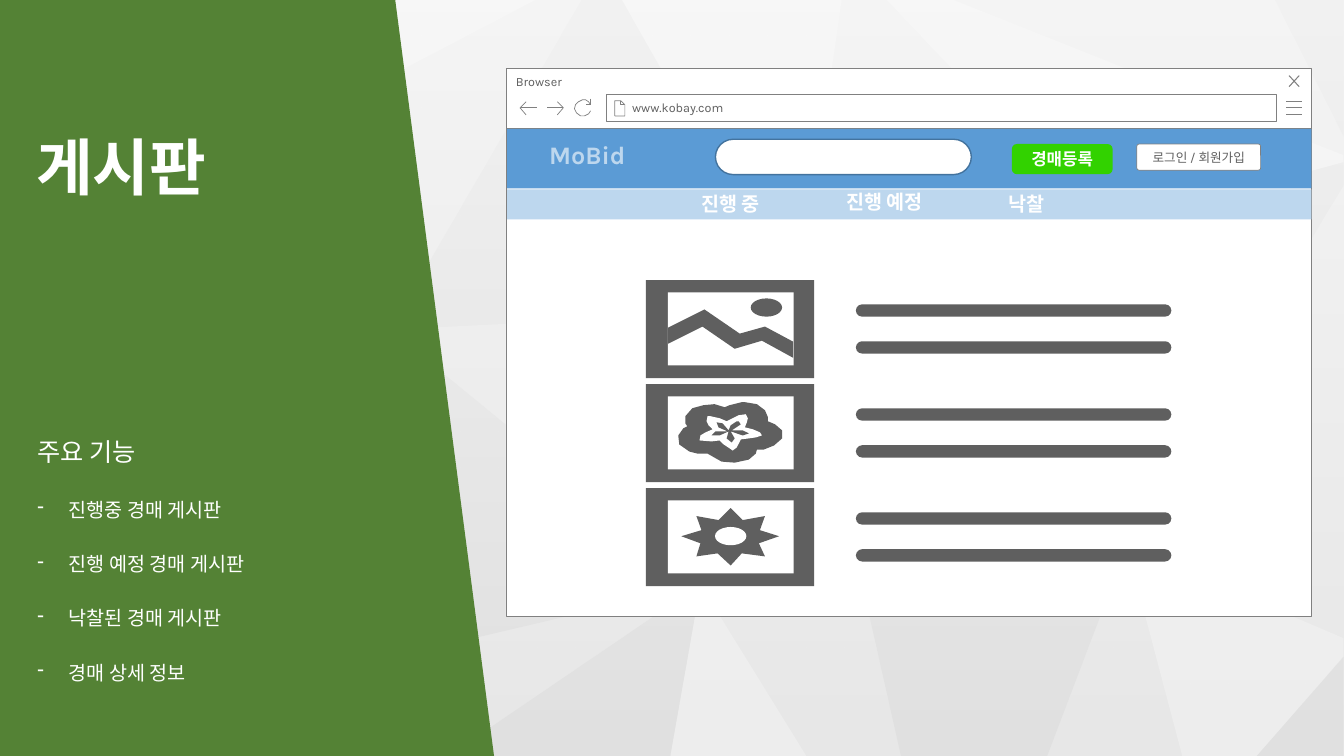
from lxml.etree import SubElement
from pptx import Presentation
from pptx.dml.color import RGBColor
from pptx.enum.shapes import MSO_SHAPE as Preset
from pptx.enum.text import MSO_ANCHOR as Anchor, PP_ALIGN as Align
from pptx.oxml.ns import qn
from pptx.util import Cm, Pt

FONT = "Karla"
WHITE, GRAY, DARK = "FFFFFF", "808080", "5F5F5F"
LIGHT_FACET, DARK_FACET = "EDEDED", "E0E0E0"
BLUE, PALE_BLUE = "5B9BD5", "BDD7EE"
GRID = Cm(0.0254)  # one unit of the outline coordinates below

LIGHT_FACETS = [
    [(695, 580), (665, 750), (800, 750)],
    [(1118, 542), (1173, 750), (1247, 750), (1333, 651), (1333, 633)],
    [(0, 216), (0, 573), (93, 522)],
    [(880, 0), (1094, 226), (1333, 161), (1333, 154), (946, 0)],
    [(93, 522), (387, 327), (176, 186)],
    [(122, 0), (176, 186), (531, 0)],
    [(617, 0), (791, 307), (835, 0)],
]
DARK_FACETS = [
    [(93, 522), (0, 573), (0, 675), (263, 682)],
    [(263, 682), (241, 750), (410, 750)],
    [(1333, 652), (1247, 750), (1333, 750)],
    [(0, 710), (0, 750), (180, 750)],
    [(1118, 542), (855, 577), (894, 750), (1039, 750)],
    [(695, 580), (445, 750), (665, 750)],
    [(1333, 161), (791, 307), (1118, 542), (1333, 184)],
    [(695, 580), (387, 327), (263, 682)],
    [(1265, 0), (1333, 135), (1333, 0)],
    [(0, 69), (0, 216), (93, 522), (176, 186)],
    [(577, 0), (387, 327), (791, 307), (617, 0)],
]
MENU_ICON = [[(1276, y), (1292, y)] for y in (101, 107, 114)]
CLOSE_ICON = [[(1289, 75), (1279, 86)], [(1279, 75), (1289, 86)]]
PAGE_ICON = [
    [(616, 100), (616, 104), (619, 104)],
    [(610, 100), (610, 115), (620, 115), (620, 104), (616, 100), (610, 100)],
]
BACK_ICON = [[(522, 114), (516, 107), (522, 101)], [(517, 107), (533, 107)]]
FORWARD_ICON = [[(553, 101), (559, 107), (553, 114)], [(559, 107), (543, 107)]]
RELOAD_ICON = [
    [(586, 98), (586, 104), (581, 104)],
    [(586, 110), (584, 113), (580, 115), (576, 115), (572, 112), (570, 108),
     (571, 104), (574, 101), (578, 99), (581, 99), (584, 101), (586, 104)],
]
MOUNTAINS = [
    (663, 325), (699, 307), (734, 331), (759, 324), (787, 339),
    (787, 355), (756, 338), (729, 346), (697, 324), (663, 341),
]
BLOSSOM = [
    (739, 399), (736, 399), (724, 402), (719, 404), (709, 401), (698, 402),
    (687, 405), (680, 413), (680, 420), (682, 423), (678, 425), (673, 432),
    (674, 441), (684, 448), (692, 450), (702, 450), (709, 454), (716, 458),
    (729, 459), (743, 456), (750, 450), (751, 446), (758, 446), (768, 442),
    (776, 435), (776, 427), (769, 421), (762, 418), (762, 414), (759, 407),
    (751, 401),
]
BLOSSOM_STAR = [
    (740, 411), (742, 415), (741, 419), (739, 424), (747, 426), (754, 429),
    (756, 432), (750, 434), (743, 435), (735, 436), (733, 440), (731, 444),
    (727, 447), (718, 441), (714, 437), (706, 438), (694, 437), (695, 432),
    (700, 429), (707, 426), (703, 422), (701, 418), (702, 413), (705, 413),
    (714, 415), (721, 418), (727, 415), (733, 412),
]
BLOSSOM_CORE = [
    (731, 418), (725, 422), (723, 427), (717, 420), (711, 419), (713, 424),
    (722, 428), (710, 428), (706, 432), (714, 432), (723, 428), (721, 435),
    (726, 439), (729, 435), (725, 428), (737, 432), (743, 430), (737, 427),
    (726, 427), (735, 421), (733, 418),
]
SUNBURST = [
    (725, 504), (713, 516), (691, 512), (696, 526), (676, 532), (695, 539),
    (691, 552), (712, 549), (725, 561), (736, 549), (759, 552), (753, 539),
    (773, 532), (754, 526), (759, 512), (737, 516),
]


def color(hex_code):
    return RGBColor.from_string(hex_code)


def paint(shape, fill, line, width):
    shape.shadow.inherit = False
    if fill:
        shape.fill.solid()
        shape.fill.fore_color.rgb = color(fill)
    else:
        shape.fill.background()
    if line:
        shape.line.color.rgb = color(line)
        shape.line.width = Pt(width)
    else:
        shape.line.fill.background()


def add_preset(slide, preset, box, fill, line=None, width=0.5, corner=None):
    shape = slide.shapes.add_shape(preset, *map(Cm, box))
    paint(shape, fill, line, width)
    if corner is not None:
        shape.adjustments[0] = corner
    return shape


def add_outline(slide, contours, fill=None, line=None, width=0.5):
    """Draw contours as one shape; they are closed when the shape is filled."""
    builder = slide.shapes.build_freeform(*contours[0][0], scale=GRID)
    for index, (start, *points) in enumerate(contours):
        if index:
            builder.move_to(*start)
        builder.add_line_segments(points, close=bool(fill))
    paint(builder.convert_to_shape(), fill, line, width)


def add_run(paragraph, text, size, hex_code, bold=False):
    run = paragraph.add_run()
    run.text = text
    run.font.name = FONT
    run.font.size = Pt(size)
    run.font.bold = bold
    run.font.color.rgb = color(hex_code)


def write(shape, text, size, hex_code=WHITE, bold=False, align=Align.LEFT,
          anchor=Anchor.TOP, left_margin=0.25):
    frame = shape.text_frame
    frame.word_wrap = True
    frame.vertical_anchor = anchor
    frame.margin_left = Cm(left_margin)
    paragraph = frame.paragraphs[0]
    paragraph.alignment = align
    add_run(paragraph, text, size, hex_code, bold)
    return frame


def add_label(slide, box, text, size, **style):
    return write(slide.shapes.add_textbox(*map(Cm, box)), text, size, **style)


def add_dash_item(frame, text):
    paragraph = frame.add_paragraph()
    properties = paragraph._p.get_or_add_pPr()
    properties.set("marL", str(Cm(0.79)))
    properties.set("indent", str(Cm(-0.79)))
    SubElement(properties, qn("a:buChar")).set("char", "-")
    paragraph.space_before = Pt(10)
    paragraph.space_after = Pt(12)
    add_run(paragraph, text, 14, WHITE)


def add_background(slide):
    page = (0, 0, 33.87, 19.05)
    add_preset(slide, Preset.RECTANGLE, page, "E7E7E7")
    for facets, fill in ((LIGHT_FACETS, LIGHT_FACET), (DARK_FACETS, DARK_FACET)):
        for facet in facets:
            add_outline(slide, [facet], fill)
    veil = add_preset(slide, Preset.RECTANGLE, page, WHITE)
    veil.fill.gradient()
    veil.fill.gradient_angle = 270
    for position, stop in enumerate(veil.fill.gradient_stops):
        stop.position = position
        stop.color.rgb = color(WHITE)
    for tint, alpha in zip(veil._element.iter(qn("a:srgbClr")), ("60000", "0")):
        SubElement(tint, qn("a:alpha")).set("val", alpha)


def add_side_panel(slide):
    panel = add_preset(slide, Preset.FLOWCHART_MANUAL_INPUT,
                       (-3.3, 3.3, 19.05, 12.45), "548235")
    panel.rotation = 90
    title = add_label(slide, (0.66, 0.97, 10.21, 6.68), "게시판", 44,
                      bold=True, anchor=Anchor.MIDDLE)
    title.paragraphs[0].line_spacing = 0.9
    features = add_label(slide, (0.69, 10.72, 10.01, 6.99), "주요 기능", 18)
    features.paragraphs[0].line_spacing = 1.2
    features.paragraphs[0].space_after = Pt(12)
    for text in ("진행중 경매 게시판", "진행 예정 경매 게시판",
                 "낙찰된 경매 게시판", "경매 상세 정보"):
        add_dash_item(features, text)


def add_browser_window(slide):
    add_preset(slide, Preset.RECTANGLE, (12.75, 3.2, 20.29, 12.34), WHITE, GRAY)
    bar = add_preset(slide, Preset.RECTANGLE, (12.75, 1.73, 20.29, 1.5), WHITE, GRAY)
    write(bar, "Browser", 9, DARK)
    address = add_preset(slide, Preset.RECTANGLE, (15.27, 2.39, 16.89, 0.66), WHITE, GRAY)
    write(address, "www.kobay.com", 9, DARK, anchor=Anchor.MIDDLE, left_margin=0.66)
    for icon in (MENU_ICON, PAGE_ICON, BACK_ICON, FORWARD_ICON, RELOAD_ICON):
        add_outline(slide, icon, line=GRAY)
    add_outline(slide, CLOSE_ICON, line=GRAY, width=0.75)


def add_site_header(slide):
    add_preset(slide, Preset.RECTANGLE, (12.78, 3.25, 20.27, 1.5), BLUE)
    add_preset(slide, Preset.RECTANGLE, (12.78, 4.77, 20.27, 0.76), PALE_BLUE)
    add_label(slide, (13.59, 3.38, 2.8, 1.02), "MoBid", 18, hex_code=PALE_BLUE, bold=True)
    add_preset(slide, Preset.ROUNDED_RECTANGLE, (18.03, 3.51, 6.45, 0.89),
               WHITE, "43739E", 1, corner=0.5)
    login = add_preset(slide, Preset.ROUNDED_RECTANGLE, (28.65, 3.63, 3.12, 0.66),
                       WHITE, GRAY, corner=0.09)
    write(login, "로그인 / 회원가입", 9, DARK, align=Align.CENTER, anchor=Anchor.MIDDLE)
    register = add_preset(slide, Preset.ROUNDED_RECTANGLE, (25.5, 3.63, 2.54, 0.76), "32D200")
    write(register, "경매등록", 12, bold=True, align=Align.CENTER, anchor=Anchor.MIDDLE)
    for left, top, text in ((17.42, 4.7, "진행 중"), (21.08, 4.65, "진행 예정"),
                            (25.17, 4.7, "낙찰")):
        add_label(slide, (left, top, 3, 0.86), text, 14, bold=True)


def add_auction_list(slide):
    for row in range(3):
        top = 7.06 + row * 2.62
        add_preset(slide, Preset.RECTANGLE, (16.28, top, 4.24, 2.47), DARK)
        add_preset(slide, Preset.RECTANGLE, (16.83, top + 0.31, 3.17, 1.84), WHITE)
        for drop in (0.61, 1.54):
            add_preset(slide, Preset.ROUNDED_RECTANGLE,
                       (21.57, top + drop, 7.95, 0.31), DARK, corner=0.5)
    for outline, fill in ((MOUNTAINS, DARK), (BLOSSOM, DARK), (BLOSSOM_STAR, WHITE),
                          (BLOSSOM_CORE, DARK), (SUNBURST, DARK)):
        add_outline(slide, [outline], fill)
    add_preset(slide, Preset.OVAL, (18.92, 7.52, 0.79, 0.46), DARK)
    add_preset(slide, Preset.OVAL, (18.02, 13.28, 0.79, 0.46), WHITE)


def main():
    presentation = Presentation()
    presentation.slide_width = Cm(33.87)
    presentation.slide_height = Cm(19.05)
    slide = presentation.slides.add_slide(presentation.slide_layouts[6])
    add_background(slide)
    add_side_panel(slide)
    add_browser_window(slide)
    add_site_header(slide)
    add_auction_list(slide)
    presentation.save("out.pptx")


if __name__ == "__main__":
    main()
